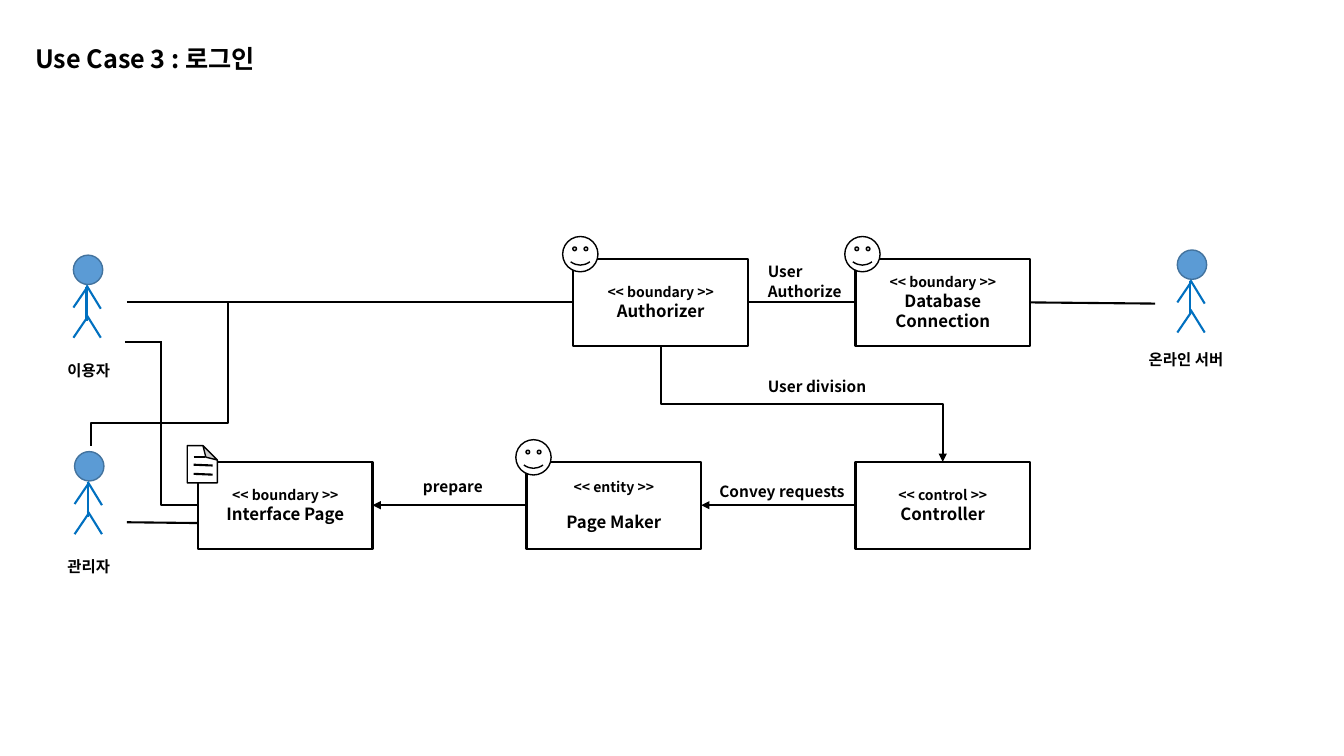
from pptx import Presentation
from pptx import util as u
from pptx.dml.color import RGBColor
from pptx.enum import shapes, text
from pptx.oxml import ns
from lxml import etree

colors = {"black": "000000", "white": "FFFFFF", "head": "5B9BD5", "head_line": "43739E", "limb": "0070C0"}
font_name = "Noto Sans CJK KR"

presentation = Presentation()
presentation.slide_width = u.Cm(33.87)
presentation.slide_height = u.Cm(19.05)
slide = presentation.slides.add_slide(presentation.slide_layouts[6])


def write(shape, lines, sizes, align, spacing=None):
    frame = shape.text_frame
    frame.word_wrap = True
    frame.text = "\n".join(lines)
    for paragraph, size in zip(frame.paragraphs, sizes):
        paragraph.alignment = align
        paragraph.line_spacing = spacing
        for run in paragraph.runs:
            run.font.size = u.Pt(size)
            run.font.bold = True
            run.font.name = font_name
            run.font.color.rgb = RGBColor.from_string(colors["black"])
            east_asian = etree.SubElement(run.font._element, ns.qn("a:ea"))
            east_asian.set("typeface", font_name)


def connect(start, end, color="black", arrow=False, bend=None):
    (x1, y1), (x2, y2) = start, end
    kind = shapes.MSO_CONNECTOR.STRAIGHT
    if bend is not None:
        kind = shapes.MSO_CONNECTOR.ELBOW
        center_x, center_y = (x1 + x2) / 2, (y1 + y2) / 2
        half_x, half_y = (x2 - x1) / 2, (y2 - y1) / 2
        x1, y1 = center_x + half_y, center_y - half_x
        x2, y2 = center_x - half_y, center_y + half_x
    connector = slide.shapes.add_connector(kind, u.Cm(x1), u.Cm(y1), u.Cm(x2), u.Cm(y2))
    connector.line.color.rgb = RGBColor.from_string(colors[color])
    connector.line.width = u.Pt(1.5)
    properties = connector._element.spPr
    if bend is not None:
        properties.find(ns.qn("a:xfrm")).set("rot", str(270 * 60000))
        guides = properties.find(ns.qn("a:prstGeom")).find(ns.qn("a:avLst"))
        guide = etree.SubElement(guides, ns.qn("a:gd"))
        guide.set("name", "adj1")
        guide.set("fmla", f"val {round(bend * 100000)}")
    if arrow:
        etree.SubElement(connector.get_or_add_ln(), ns.qn("a:tailEnd")).set("type", "triangle")
    etree.SubElement(properties, ns.qn("a:effectLst"))


box_width, box_height = 4.4, 2.19
top_row, bottom_row = 6.52, 11.64
top_middle, bottom_middle = 7.62, 12.73
interface_left, maker_left, authorizer_left, right_column = 4.99, 13.27, 14.45, 21.56

preset = shapes.MSO_SHAPE
outlines = []
boxes = [
    (interface_left, bottom_row, ["<< boundary >>", "Interface Page"], False),
    (maker_left, bottom_row, ["<< entity >>", "Page Maker"], True),
    (right_column, bottom_row, ["<< control >>", "Controller"], False),
    (authorizer_left, top_row, ["<< boundary >>", "Authorizer"], True),
    (right_column, top_row, ["<< boundary >>", "Database", "Connection"], True),
]
for left, top, lines, smiling in boxes:
    outlines.append((preset.RECTANGLE, left, top, box_width, box_height, "white", "black", 1.5, lines))
    if smiling:
        outlines.append((preset.SMILEY_FACE, left - 0.27, top - 0.56, 0.89, 0.89, "white", "black", 1, []))
outlines.append((preset.FOLDED_CORNER, 4.72, 11.23, 0.76, 0.94, "white", "black", 1, []))

actors = [
    (1.88, 11.38, "관리자", 1.45, 13.89, 2.31),
    (1.85, 6.43, "이용자", 1.45, 8.94, 2.31),
    (29.67, 6.3, "온라인 서버", 28.7, 8.66, 2.95),
]
for left, top, *label in actors:
    outlines.append((preset.OVAL, left, top, 0.74, 0.74, "head", "head_line", 1, []))

for kind, left, top, width, height, fill, line, weight, lines in outlines:
    shape = slide.shapes.add_shape(kind, u.Cm(left), u.Cm(top), u.Cm(width), u.Cm(height))
    shape.shadow.inherit = False
    shape.fill.solid()
    shape.fill.fore_color.rgb = RGBColor.from_string(colors[fill])
    shape.line.color.rgb = RGBColor.from_string(colors[line])
    shape.line.width = u.Pt(weight)
    if lines:
        shape.text_frame.vertical_anchor = text.MSO_ANCHOR.MIDDLE
        write(shape, lines, [10, 12, 12], text.PP_ALIGN.CENTER)
    if "Page Maker" in lines:
        shape.text_frame.paragraphs[1].space_before = u.Pt(12)
    if kind == preset.FOLDED_CORNER:
        properties = shape._element.spPr
        properties.find(ns.qn("a:xfrm")).set("flipV", "1")
        guides = properties.find(ns.qn("a:prstGeom")).find(ns.qn("a:avLst"))
        fold = etree.SubElement(guides, ns.qn("a:gd"))
        fold.set("name", "adj")
        fold.set("fmla", "val 48000")

for start, end in [((4.88, 11.94), (5.36, 11.96)), ((4.88, 11.71), (5.36, 11.73)), ((4.88, 11.51), (5.16, 11.51))]:
    connect(start, end)

limbs = [
    (0.33, 0.79, 0.33, 1.65),
    (0.36, 0.79, 0, 1.32),
    (0.33, 0.76, 0.69, 1.35),
    (0.36, 1.55, 0, 2.08),
    (0.33, 1.5, 0.69, 2.08),
]
labels = [
    (["prepare"], 10.41, 11.86, 2.97),
    (["Convey requests"], 17.88, 11.99, 3.91),
    (["User division"], 19.1, 9.35, 3.91),
    (["User", "Authorize"], 19.1, 6.45, 3.91),
]
for left, top, name, label_left, label_top, label_width in actors:
    for x1, y1, x2, y2 in limbs:
        connect((left + x1, top + y1), (left + x2, top + y2), "limb")
    labels.append(([name], label_left, label_top, label_width))

connect((maker_left, bottom_middle), (interface_left + box_width, bottom_middle), arrow=True)
connect((right_column, bottom_middle), (maker_left + box_width, bottom_middle), arrow=True)
connect((authorizer_left + box_width / 2, top_row + box_height), (right_column + box_width / 2, bottom_row), arrow=True, bend=0.5)
connect((3.2, 13.16), (interface_left, 13.18))
connect((3.2, top_middle), (authorizer_left, top_middle))
connect((authorizer_left + box_width, top_middle), (right_column, top_middle))
connect((right_column + box_width, top_middle), (29.11, 7.65))
connect((4.06, 8.61), (interface_left, bottom_middle), bend=1)
connect((3.15, 8.61), (4.09, 8.61))
connect((2.29, 11.23), (5.74, top_middle), bend=0.16)

for lines, left, top, width in labels:
    label_box = slide.shapes.add_textbox(u.Cm(left), u.Cm(top), u.Cm(width), u.Cm(0.99))
    write(label_box, lines, [11, 11], text.PP_ALIGN.JUSTIFY, 1.07)

title = slide.shapes.add_textbox(u.Cm(0.64), u.Cm(0.97), u.Cm(8.86), u.Cm(1.02))
write(title, ["Use Case 3 : 로그인"], [18], text.PP_ALIGN.LEFT)

presentation.save("out.pptx")
